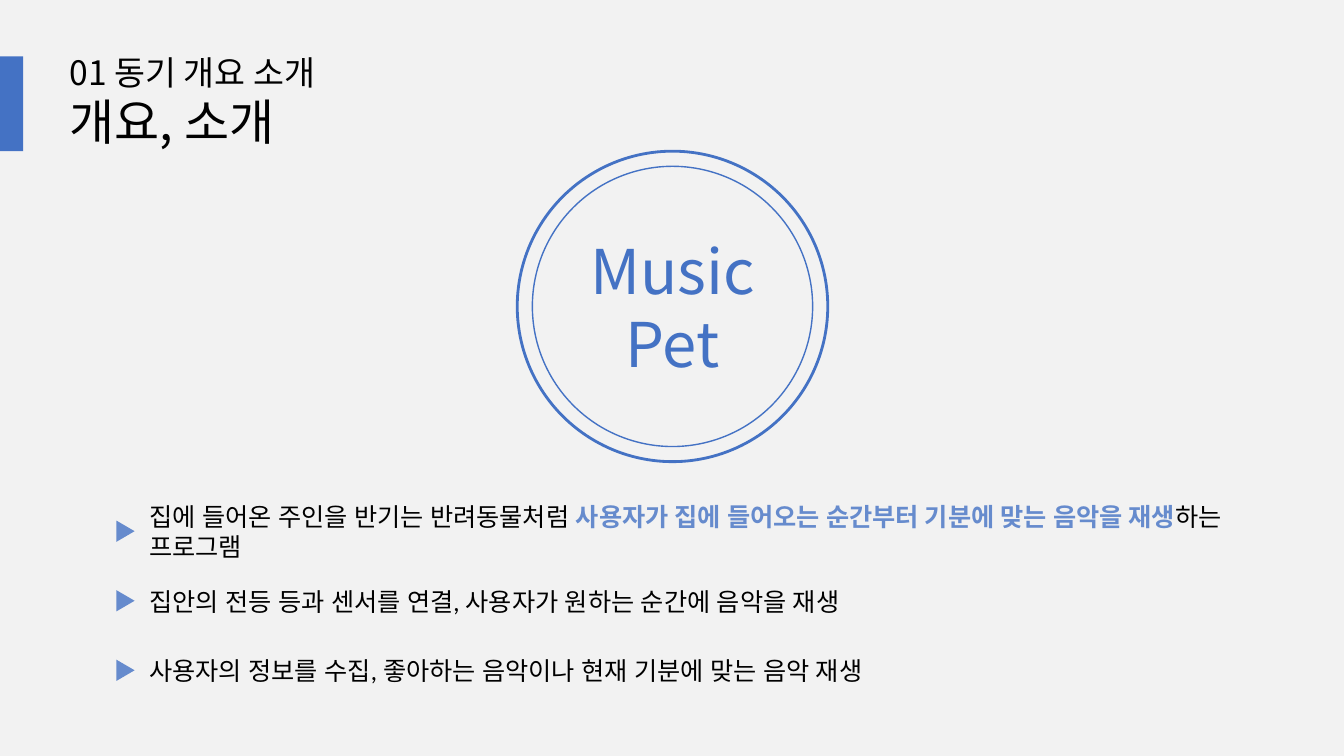
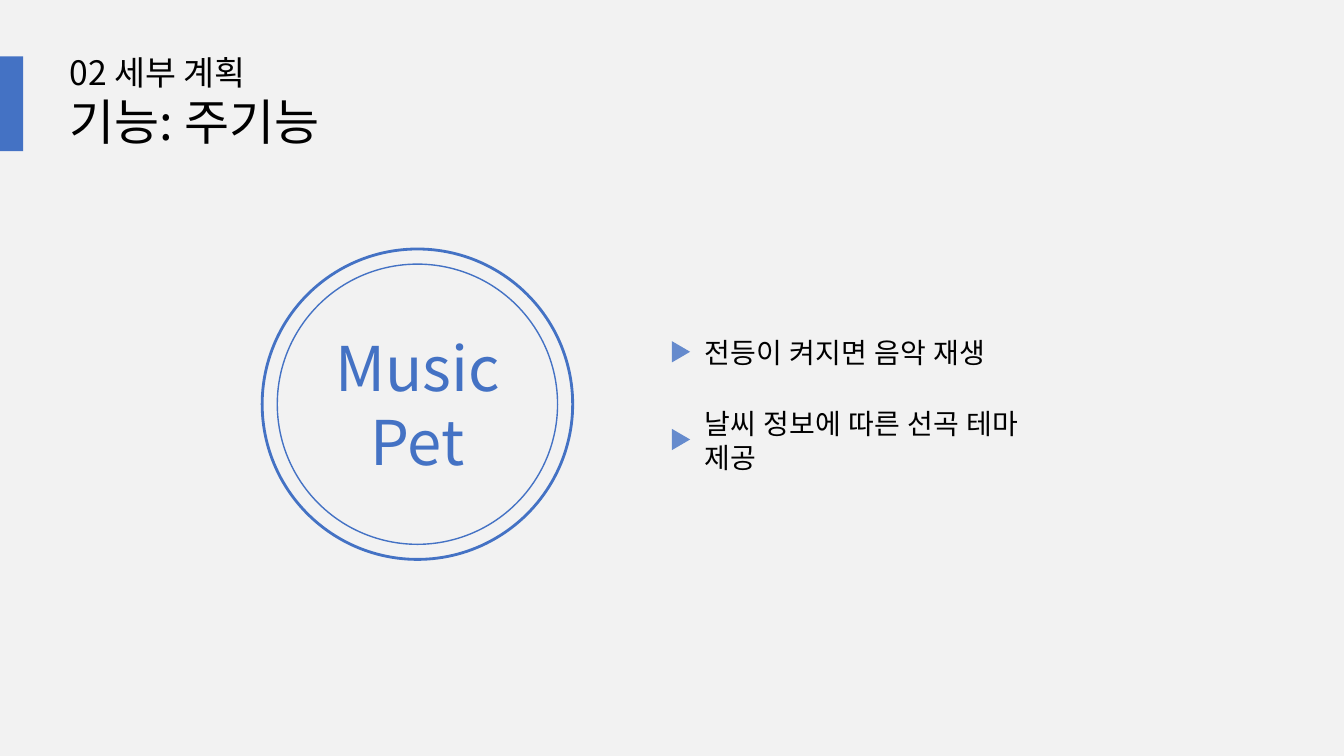
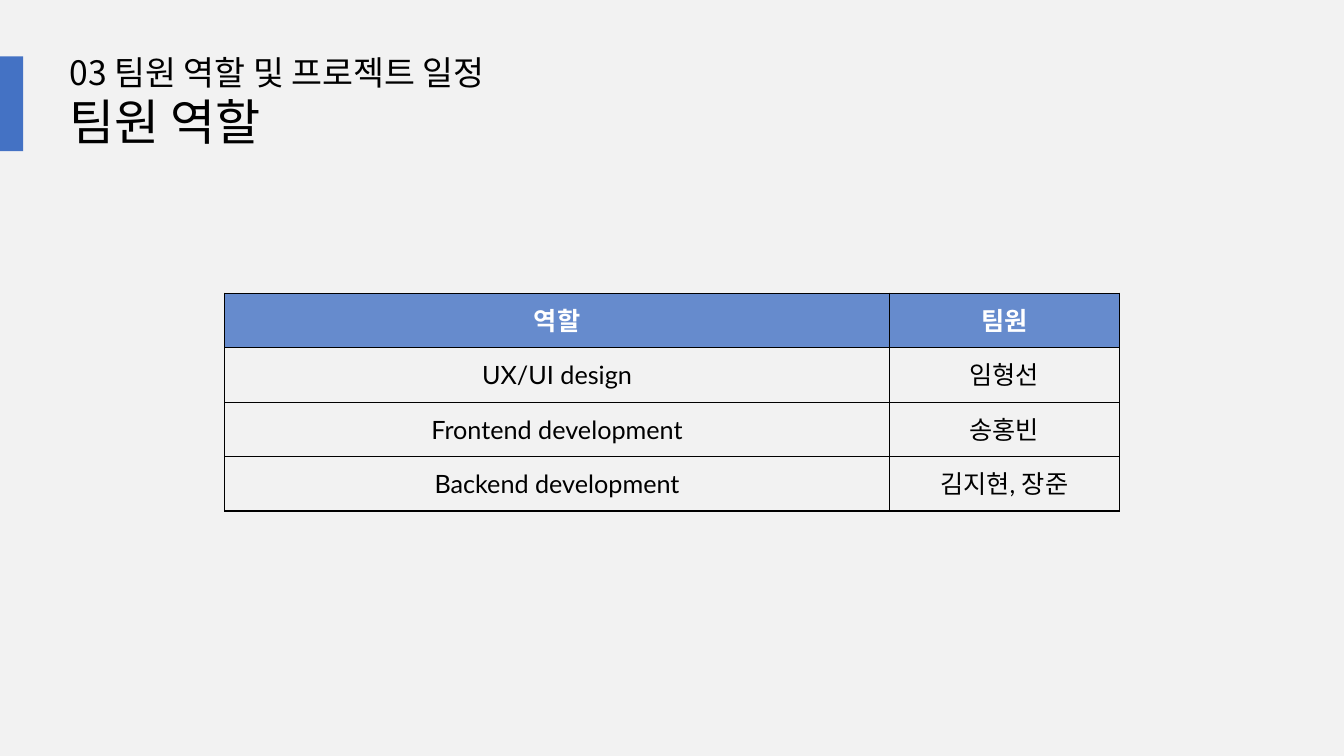
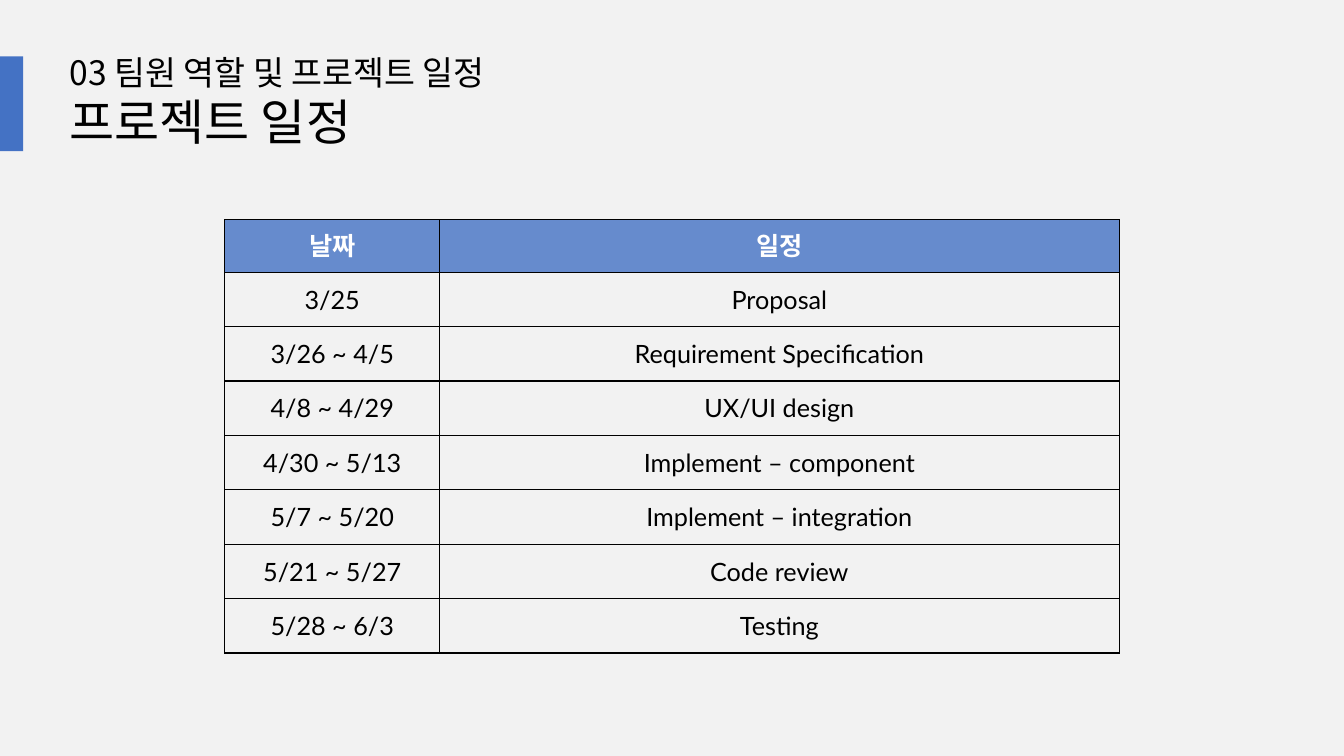
"""Build the four Music Pet project slides."""
from pptx import Presentation
from pptx.dml.color import RGBColor
from pptx.enum.shapes import MSO_SHAPE as SHAPE
from pptx.enum.text import MSO_ANCHOR as ANCHOR, MSO_AUTO_SIZE as AUTO, PP_ALIGN as ALIGN
from pptx.oxml import parse_xml
from pptx.oxml.ns import nsdecls
from pptx.util import Inches, Pt

COLORS = {"back": "F2F2F2", "blue": "4472C4", "soft": "668BCD", "black": "000000", "white": "FFFFFF"}
HEAD, BODY = "Noto Sans CJK KR", "Lato"
LOGO = "Music Pet"

SLIDES = [
    {"title": ("01 동기 개요 소개", "개요, 소개"),
     "circle": (5.13, 1.5),
     "bullets": {"left": 1.35, "top": 4.93, "width": 10.98, "step": 0.69, "size": 18, "items": [
         [("집에 들어온 주인을 반기는 반려동물처럼 ", False),
          ("사용자가 집에 들어오는 순간부터 기분에 맞는 음악을 재생", True),
          ("하는 프로그램", False)],
         [("집안의 전등 등과 센서를 연결, 사용자가 원하는 순간에 음악을 재생", False)],
         [("사용자의 정보를 수집, 좋아하는 음악이나 현재 기분에 맞는 음악 재생", False)]]}},
    {"title": ("02 세부 계획", "기능: 주기능"),
     "circle": (2.6, 2.47),
     "bullets": {"left": 6.86, "top": 3.15, "width": 3.73, "step": 0.87, "size": 20, "items": [
         [("전등이 켜지면 음악 재생", False)],
         [("날씨 정보에 따른 선곡 테마 제공", False)]]}},
    {"title": ("03 팀원 역할 및 프로젝트 일정", "팀원 역할"),
     "table": {"top": 2.91, "cols": (6.59, 2.28), "head": 0.54, "rows": [
         ("역할", "팀원"),
         ("UX/UI design", "임형선"),
         ("Frontend development", "송홍빈"),
         ("Backend development", "김지현, 장준")]}},
    {"title": ("03 팀원 역할 및 프로젝트 일정", "프로젝트 일정"),
     "table": {"top": 2.18, "cols": (2.13, 6.74), "head": 0.52, "rows": [
         ("날짜", "일정"),
         ("3/25", "Proposal"),
         ("3/26 ~ 4/5", "Requirement Specification"),
         ("4/8 ~ 4/29", "UX/UI design"),
         ("4/30 ~ 5/13", "Implement – component"),
         ("5/7 ~ 5/20", "Implement – integration"),
         ("5/21 ~ 5/27", "Code review"),
         ("5/28 ~ 6/3", "Testing")]}},
]


def rgb(name):
    return RGBColor.from_string(COLORS[name])


def add_run(p, text, size, font=BODY, color="black", bold=False):
    r = p.add_run()
    r.text = text
    for key, value in {"size": Pt(size), "name": font, "bold": bold}.items():
        setattr(r.font, key, value)
    r.font.color.rgb = rgb(color)
    r.font._element.append(parse_xml(f'<a:ea {nsdecls("a")} typeface="{font}"/>'))


def add_shape(s, kind, box, fill=None, line=0):
    sp = s.shapes.add_shape(kind, *map(Inches, box))
    sp.shadow.inherit = False
    if fill:
        sp.fill.solid()
        sp.fill.fore_color.rgb = rgb(fill)
    else:
        sp.fill.background()
    if line:
        sp.line.color.rgb = rgb("blue")
        sp.line.width = Pt(line)
    else:
        sp.line.fill.background()
    return sp


def add_title(s, lines):
    sp = s.shapes.title
    sp.left, sp.top, sp.width, sp.height = map(Inches, (0.59, 0.46, 12.15, 1.09))
    tf = sp.text_frame
    for key, value in {"word_wrap": True, "auto_size": AUTO.NONE, "vertical_anchor": ANCHOR.TOP}.items():
        setattr(tf, key, value)
    for i, (text, size) in enumerate(zip(lines, (24, 35))):
        p = tf.add_paragraph() if i else tf.paragraphs[0]
        p.alignment = ALIGN.LEFT
        add_run(p, text, size, HEAD)
    add_shape(s, SHAPE.RECTANGLE, (0, 0.56, 0.23, 0.94), "blue")


def add_circle(s, corner):
    left, top = corner
    for gap, weight in ((0, 2), (0.15, 1)):
        side = 3.08 - 2 * gap
        sp = add_shape(s, SHAPE.OVAL, (left + gap, top + gap, side, side), line=weight)
    p = sp.text_frame.paragraphs[0]
    p.alignment = ALIGN.CENTER
    add_run(p, LOGO, 44, HEAD, "blue")


def add_bullets(s, spec):
    left = spec["left"]
    for i, parts in enumerate(spec["items"]):
        top = spec["top"] + i * spec["step"]
        sp = add_shape(s, SHAPE.ROUNDED_RECTANGLE, (left, top, spec["width"], 0.69))
        p = sp.text_frame.paragraphs[0]
        p.alignment = ALIGN.LEFT
        for text, strong in parts:
            add_run(p, text, spec["size"], color="soft" if strong else "black", bold=strong)
        add_shape(s, SHAPE.ISOSCELES_TRIANGLE, (left - 0.21, top + 0.25, 0.21, 0.18), "soft").rotation = 90


def add_borders(cell):
    tcPr = cell._tc.get_or_add_tcPr()
    for i, side in enumerate("LRTB"):
        tcPr.insert(i, parse_xml(
            f'<a:ln{side} {nsdecls("a")} w="12700"><a:solidFill>'
            f'<a:srgbClr val="{COLORS["black"]}"/></a:solidFill></a:ln{side}>'))


def add_table(s, spec):
    rows, cols = spec["rows"], spec["cols"]
    heights = [spec["head"]] + [0.54] * (len(rows) - 1)
    box = (2.23, spec["top"], sum(cols), sum(heights))
    table = s.shapes.add_table(len(rows), len(cols), *map(Inches, box)).table
    table.first_row = table.horz_banding = False
    for col, width in zip(table.columns, cols):
        col.width = Inches(width)
    for i, (row, height) in enumerate(zip(table.rows, heights)):
        row.height = Inches(height)
        for cell, text in zip(row.cells, rows[i]):
            cell.vertical_anchor = ANCHOR.MIDDLE
            if i:
                cell.fill.background()
            else:
                cell.fill.solid()
                cell.fill.fore_color.rgb = rgb("soft")
            p = cell.text_frame.paragraphs[0]
            p.alignment = ALIGN.CENTER
            add_run(p, text, 18, color="black" if i else "white", bold=not i)
            add_borders(cell)


def main():
    prs = Presentation()
    prs.slide_width, prs.slide_height = Inches(13.33), Inches(7.5)
    fill = prs.slide_master.background.fill
    fill.solid()
    fill.fore_color.rgb = rgb("back")
    parts = {"title": add_title, "circle": add_circle, "bullets": add_bullets, "table": add_table}
    for content in SLIDES:
        s = prs.slides.add_slide(prs.slide_layouts[5])
        for name, value in content.items():
            parts[name](s, value)
    prs.save("out.pptx")


if __name__ == "__main__":
    main()
